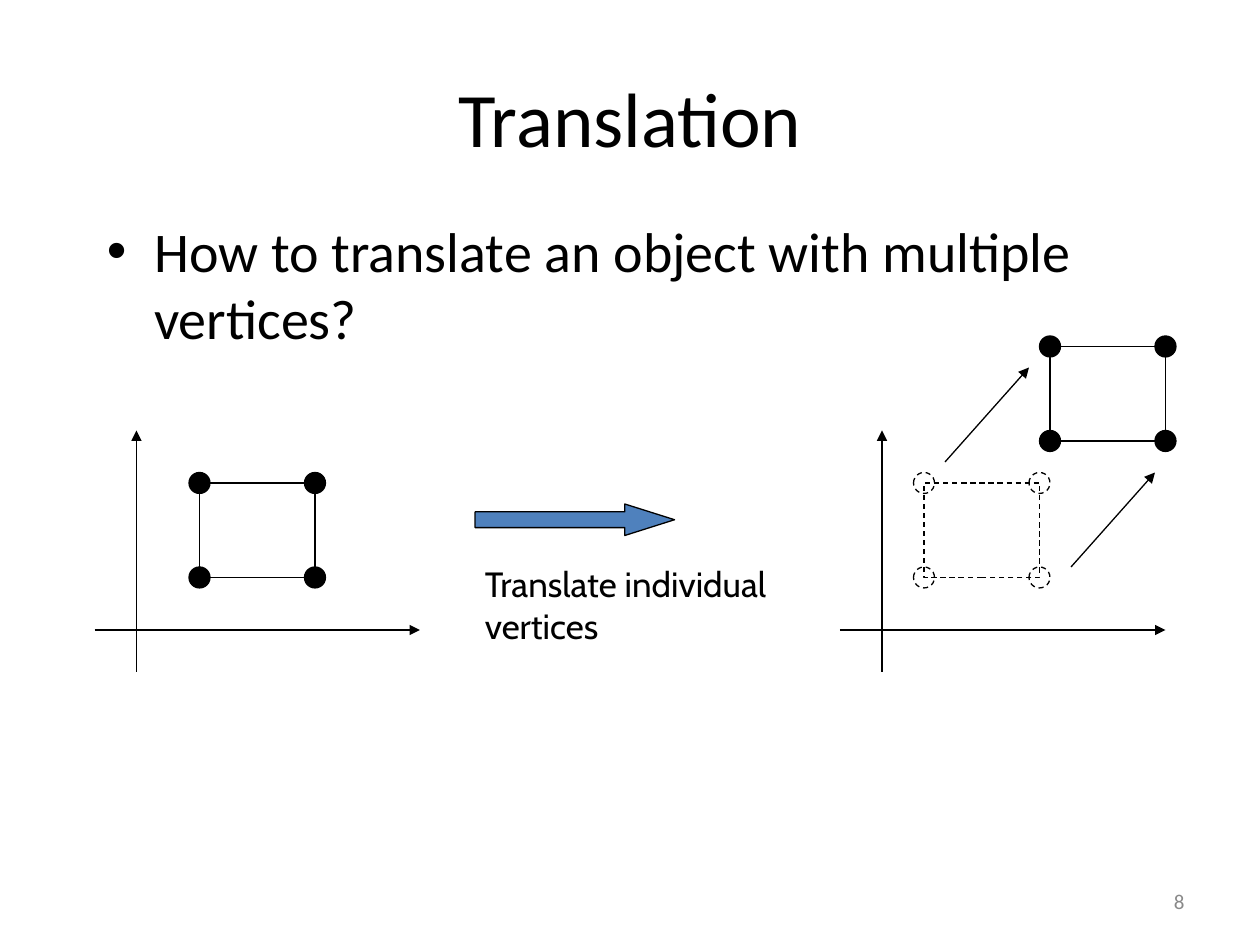
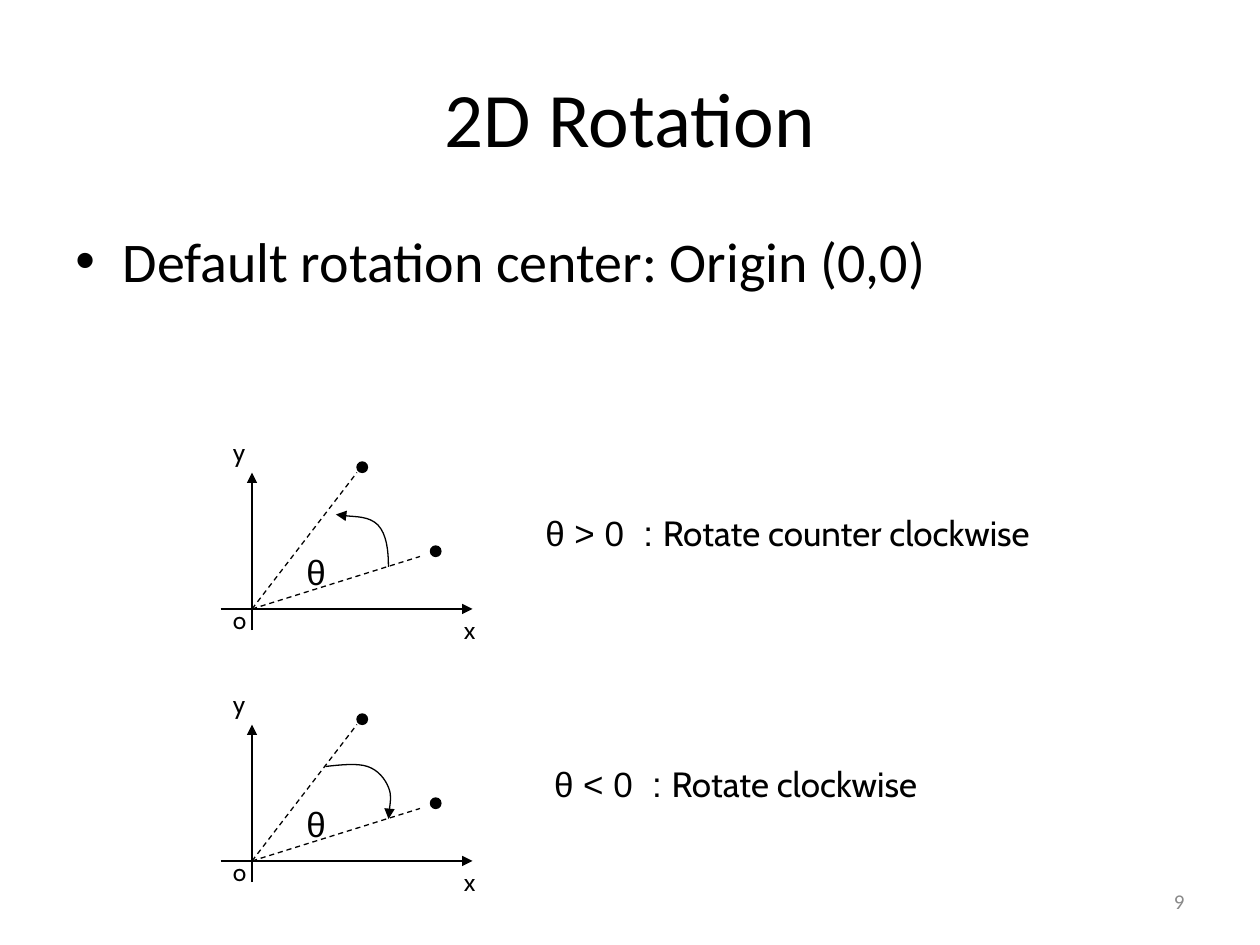
from dataclasses import dataclass

from lxml.etree import SubElement
from pptx import Presentation
from pptx.dml.color import RGBColor
from pptx.enum.dml import MSO_LINE
from pptx.enum.shapes import MSO_CONNECTOR, MSO_SHAPE
from pptx.enum.text import MSO_ANCHOR, PP_ALIGN
from pptx.oxml.ns import qn
from pptx.util import Pt


@dataclass(frozen=True)
class Theme:
    ink: RGBColor = RGBColor(0, 0, 0)
    accent: RGBColor = RGBColor(0x4F, 0x81, 0xBD)
    muted: RGBColor = RGBColor(0x89, 0x89, 0x89)
    main_font: str = "Calibri"
    note_font: str = "Cabin"
    math_font: str = "Arial"
    title_size: float = 44
    body_size: float = 32
    note_size: float = 20
    axis_size: float = 14
    number_size: float = 12
    line_width: float = 0.75


class Sketch:
    def __init__(self, theme):
        self.theme = theme
        self.deck = Presentation()
        self.deck.slide_width, self.deck.slide_height = Pt(720), Pt(540)
        self.page = None

    def new_page(self, title, number):
        self.page = self.deck.slides.add_slide(self.deck.slide_layouts[6])
        theme = self.theme
        self.text(number, 516, 500.5, 168, 29, theme.main_font, theme.number_size,
                  PP_ALIGN.RIGHT, MSO_ANCHOR.MIDDLE, theme.muted)
        self.text(title, 36, 21.6, 648, 90, theme.main_font, theme.title_size,
                  PP_ALIGN.CENTER, MSO_ANCHOR.MIDDLE)

    def frame(self, left, top, width, height, anchor=MSO_ANCHOR.TOP):
        box = self.page.shapes.add_textbox(Pt(left), Pt(top), Pt(width), Pt(height))
        box.text_frame.word_wrap = True
        box.text_frame.vertical_anchor = anchor
        return box.text_frame

    def style(self, font, name, size, color=None):
        font.name, font.size = name, Pt(size)
        font.color.rgb = color or self.theme.ink

    def text(self, words, left, top, width, height, font, size,
             align=PP_ALIGN.LEFT, anchor=MSO_ANCHOR.TOP, color=None):
        frame = self.frame(left, top, width, height, anchor)
        frame.text = words
        for para in frame.paragraphs:
            para.alignment = align
            self.style(para.font, font, size, color)

    def bullet(self, words, left, top, width, height):
        para = self.frame(left, top, width, height).paragraphs[0]
        para.text = words
        properties = para._p.get_or_add_pPr()
        properties.set("marL", str(Pt(27)))
        properties.set("indent", str(Pt(-27)))
        SubElement(properties, qn("a:buFont")).set("typeface", self.theme.math_font)
        SubElement(properties, qn("a:buChar")).set("char", "•")
        self.style(para.font, self.theme.main_font, self.theme.body_size)

    def rule_note(self, condition, meaning, left, top):
        theme = self.theme
        para = self.frame(left, top, 300, 31).paragraphs[0]
        tabs = SubElement(para._p.get_or_add_pPr(), qn("a:tabLst"))
        tab = SubElement(tabs, qn("a:tab"))
        tab.set("pos", str(Pt(56)))
        tab.set("algn", "l")
        for words, font in ((f"{condition}\t: ", theme.math_font), (meaning, theme.note_font)):
            span = para.add_run()
            span.text = words
            self.style(span.font, font, theme.note_size)

    def stroke(self, line, dashed=False, arrow=False):
        line.width = Pt(self.theme.line_width)
        line.color.rgb = self.theme.ink
        if dashed:
            line.dash_style = MSO_LINE.DASH
        if arrow:
            SubElement(line._ln, qn("a:tailEnd")).set("type", "triangle")

    def line(self, start, end, dashed=False, arrow=False):
        link = self.page.shapes.add_connector(
            MSO_CONNECTOR.STRAIGHT, *(Pt(value) for value in (*start, *end)))
        self.stroke(link.line, dashed, arrow)
        SubElement(link._element.spPr, qn("a:effectLst"))

    def shape(self, kind, left, top, width, height, fill=None, dashed=False):
        item = self.page.shapes.add_shape(kind, Pt(left), Pt(top), Pt(width), Pt(height))
        item.shadow.inherit = False
        if fill is None:
            item.fill.background()
        else:
            item.fill.solid()
            item.fill.fore_color.rgb = fill
        self.stroke(item.line, dashed)
        return item

    def dot(self, x, y, size, dashed=False):
        fill = None if dashed else self.theme.ink
        self.shape(MSO_SHAPE.OVAL, x - size / 2, y - size / 2, size, size, fill, dashed)

    def square(self, left, top, dashed=False):
        width, height = 66, 54
        self.shape(MSO_SHAPE.RECTANGLE, left, top, width, height, dashed=dashed)
        for y in (top + height, top):
            for x in (left, left + width):
                self.dot(x, y, 12, dashed)

    def curve(self, points):
        start, *rest = [(Pt(x), Pt(y)) for x, y in points]
        builder = self.page.shapes.build_freeform(*start)
        builder.add_line_segments(rest, close=False)
        arc = builder.convert_to_shape()
        segments = list(arc._element.iter(qn("a:lnTo")))
        outline = segments[0].getparent()
        for first in range(0, len(segments), 3):
            bezier = SubElement(outline, qn("a:cubicBezTo"))
            for segment in segments[first:first + 3]:
                bezier.append(segment[0])
                outline.remove(segment)
        arc.shadow.inherit = False
        arc.fill.background()
        self.stroke(arc.line, arrow=True)

    def axes(self, x, y, left, right, down, up):
        self.line((x - left, y), (x + right, y), arrow=True)
        self.line((x, y + down), (x, y - up), arrow=True)

    def rotation(self, x, y, arc):
        theme = self.theme
        self.axes(x, y, 18, 126, 12, 78)
        for end, dot in (((96, -30), (102, -36)), ((60, -78), (60, -84))):
            self.line((x, y), (x + end[0], y + end[1]), dashed=True)
            self.dot(x + dot[0] + (3 if dot[0] == 60 else 3), y + dot[1] + 3, 6)
        self.text("θ", x + 24, y - 37, 25, 31, theme.math_font, theme.note_size)
        self.curve([(x + across, y + down) for across, down in arc])
        for name, across, down in (("x", 114, 0), ("y", -18, -102), ("o", -18, -6)):
            self.text(name, x + across, y + down, 24, 24, theme.note_font, theme.axis_size)


def translation_page(sketch):
    theme = sketch.theme
    sketch.new_page("Translation", "8")
    sketch.bullet("How to translate an object with multiple vertices?", 54, 120, 612, 324)
    for origin in (78, 504):
        sketch.axes(origin, 360, 24, 162, 24, 114)
    sketch.square(114, 276)
    arrow = sketch.shape(MSO_SHAPE.RIGHT_ARROW, 271.5, 288, 114, 18, theme.accent)
    arrow.adjustments[1] = 1.58
    sketch.text("Translate individual\nvertices", 270, 318, 186, 55.5,
                theme.note_font, theme.note_size)
    sketch.square(600, 198)
    sketch.square(528, 276, dashed=True)
    for x, y in ((540, 264), (612, 324)):
        sketch.line((x, y), (x + 48, y - 54), arrow=True)


def rotation_page(sketch):
    sketch.new_page("2D Rotation", "9")
    sketch.bullet("Default rotation center: Origin (0,0)", 36, 126, 648, 356)
    counter_clockwise = [(78, -24), (78, -33.4), (77, -42.7), (72, -48),
                         (67, -53), (52, -53), (48, -54)]
    clockwise = [(42, -54), (51, -55), (60, -56), (66, -54), (72, -52),
                 (76, -47), (78, -42), (80, -37), (78, -27), (78, -24)]
    sketch.rotation(144, 348, counter_clockwise)
    sketch.rotation(144, 492, clockwise)
    sketch.rule_note("θ > 0", "Rotate counter clockwise", 304.5, 288.5)
    sketch.rule_note("θ < 0", "Rotate clockwise", 309.5, 432)


def main():
    sketch = Sketch(Theme())
    translation_page(sketch)
    rotation_page(sketch)
    sketch.deck.save("out.pptx")


if __name__ == "__main__":
    main()
